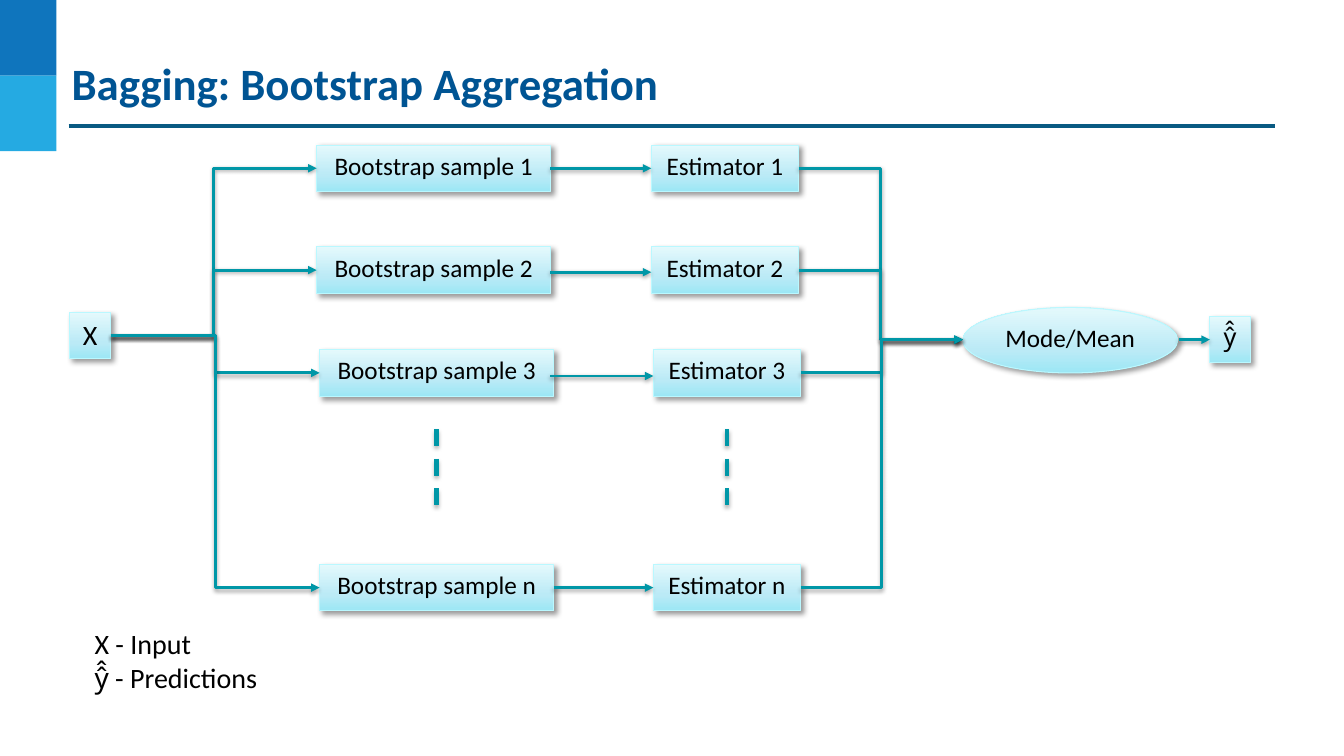
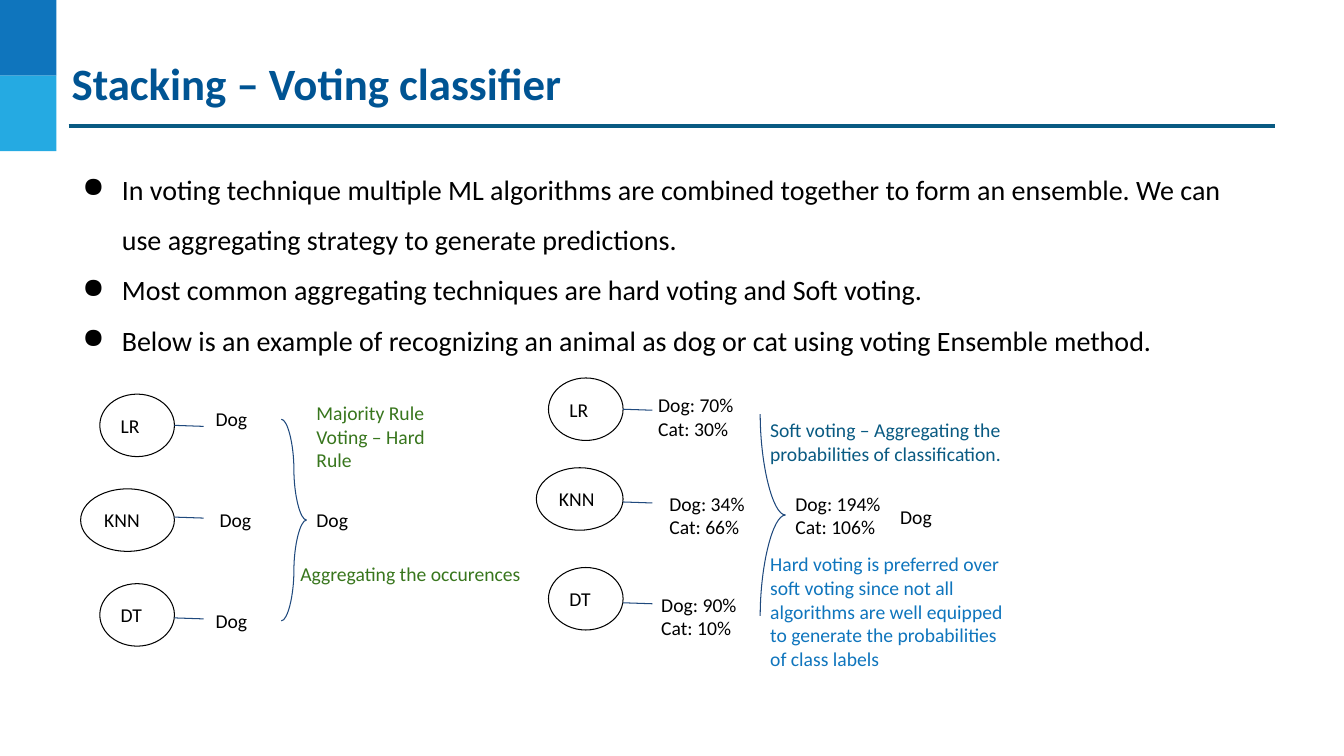
from copy import deepcopy
from lxml.etree import SubElement
from pptx import Presentation
from pptx.dml.color import RGBColor
from pptx.enum.dml import MSO_LINE
from pptx.enum.shapes import MSO_CONNECTOR, MSO_SHAPE
from pptx.enum.text import MSO_ANCHOR, PP_ALIGN
from pptx.oxml.ns import qn
from pptx.util import Inches, Pt

FONT = "Calibri"
BLACK = RGBColor(0x00, 0x00, 0x00)
WHITE = RGBColor(0xFF, 0xFF, 0xFF)
BLUE = RGBColor(0x0F, 0x75, 0xBD)
SKY = RGBColor(0x25, 0xAA, 0xE2)
DEEP = RGBColor(0x09, 0x5A, 0x82)
NAVY = RGBColor(0x00, 0x54, 0x93)
TEAL = RGBColor(0x00, 0x97, 0xA7)
ICE = RGBColor(0xBA, 0xF8, 0xFF)
SLATE = RGBColor(0x1F, 0x49, 0x7D)
GREEN = RGBColor(0x38, 0x76, 0x1D)
GRADE = [
    (0, RGBColor(0x9C, 0xE7, 0xF5)),
    (0.35, RGBColor(0xBB, 0xEA, 0xF6)),
    (1, RGBColor(0xE4, 0xF9, 0xFC)),
]
BOX_SHADE = (40, 4, 3, 45)
WIRE_SHADE = (37, 3.1, 1.6, 90)
DASH_SHADE = (34, 3.1, 1.8, 90)
STRAIGHT, ELBOW, CURVE = MSO_CONNECTOR.STRAIGHT, MSO_CONNECTOR.ELBOW, MSO_CONNECTOR.CURVE

BAGGING = "Bagging: Bootstrap Aggregation"
ROWS = [
    ("1", 3.14, 6.46, 1.44, 5.46, 1.67),
    ("2", 3.14, 6.46, 2.45, 5.46, 2.7),
    ("3", 3.17, 6.48, 3.47, 5.46, 3.73),
    ("n", 3.17, 6.48, 5.6, 5.49, 5.83),
]
SAMPLE_W, EST_W, BOX_H = 2.32, 1.46, 0.46
INPUT = (1.1, 3.33)
MERGE = (9.55, 3.37)
LEGEND = ["X - Input", "ŷ̂ - Predictions"]

STACKING = "Stacking – Voting classifier"
POINTS = [
    "In voting technique multiple ML algorithms are combined together to form an ensemble. "
    "We can use aggregating strategy to generate predictions.",
    "Most common aggregating techniques are hard voting and Soft voting.",
    "Below is an example of recognizing an animal as dog or cat using voting Ensemble method.",
]
MODELS = [
    ("LR", 0.99, 3.91, 0.74, 4.22),
    ("DT", 0.99, 5.79, 0.74, 6.13),
    ("KNN", 0.8, 4.85, 0.93, 5.13),
    ("LR", 5.44, 3.75, 0.74, 4.06),
    ("DT", 5.44, 5.63, 0.74, 5.98),
    ("KNN", 5.32, 4.64, 0.86, 4.98),
]
NOTES = [
    (2.04, 3.94, 0.74, 0.44, BLACK, ["Dog"]),
    (2.04, 5.94, 0.74, 0.44, BLACK, ["Dog"]),
    (2.08, 4.94, 0.74, 0.44, BLACK, ["Dog"]),
    (6.43, 3.8, 1.24, 0.67, BLACK, ["Dog: 70%", "Cat: 30%"]),
    (6.46, 5.78, 1.08, 0.67, BLACK, ["Dog: 90%", "Cat: 10%"]),
    (6.54, 4.78, 1.08, 0.67, BLACK, ["Dog: 34%", "Cat: 66%"]),
    (3.04, 4.94, 0.74, 0.44, BLACK, ["Dog"]),
    (7.79, 4.78, 1.14, 0.67, BLACK, ["Dog: 194%", "Cat: 106%"]),
    (3.04, 3.88, 1.3, 0.91, GREEN, ["Majority Rule Voting – Hard Rule"]),
    (2.88, 5.47, 2.39, 0.44, GREEN, ["Aggregating the occurences"]),
    (7.54, 4.05, 2.77, 0.67, DEEP,
     ["Soft voting – Aggregating the probabilities of classification."]),
    (7.54, 5.38, 2.59, 1.38, BLUE,
     ["Hard voting is preferred over soft voting since not all algorithms are well "
      "equipped to generate the probabilities of class labels"]),
    (8.83, 4.91, 0.54, 0.44, BLACK, ["Dog"]),
]
BRACES = [(3.04, 5.16, "curvedConnector3"), (7.79, 5.11, "curvedConnector2")]


def write(shape, lines, size, color=BLACK, bold=False, pad=(0.1, 0.1),
          align=PP_ALIGN.LEFT, anchor=MSO_ANCHOR.TOP, bullet=None):
    frame = shape.text_frame
    frame.word_wrap = True
    frame.vertical_anchor = anchor
    frame.margin_left = frame.margin_right = Inches(pad[0])
    frame.margin_top = frame.margin_bottom = Inches(pad[1])
    for i, line in enumerate(lines):
        para = frame.add_paragraph() if i else frame.paragraphs[0]
        para.alignment = align
        if bullet:
            props = para._p.get_or_add_pPr()
            props.set("marL", str(Inches(0.5)))
            props.set("indent", str(Inches(-0.39)))
            tint = SubElement(props, qn("a:buClr"))
            SubElement(tint, qn("a:srgbClr"), val=str(BLACK))
            SubElement(props, qn("a:buChar"), char=bullet)
            para.line_spacing = 1.5
        run = para.add_run()
        run.text = line
        font = run.font
        font.name, font.size, font.bold = FONT, Pt(size), bold
        font.color.rgb = color


def label(slide, at, lines, size, **style):
    box = slide.shapes.add_textbox(*map(Inches, at))
    write(box, lines, size, **style)


def shade(effect, alpha, blur, dist, angle):
    outer = SubElement(effect, qn("a:outerShdw"), blurRad=str(Pt(blur)), dist=str(Pt(dist)),
                       dir=str(angle * 60000), algn="tl", rotWithShape="0")
    tint = SubElement(outer, qn("a:srgbClr"), val=str(BLACK))
    SubElement(tint, qn("a:alpha"), val=str(alpha * 1000))


def block(slide, at, fill=None, line=None, kind=MSO_SHAPE.RECTANGLE):
    shape = slide.shapes.add_shape(kind, *map(Inches, at))
    shape.shadow.inherit = False
    if fill is not None:
        shape.fill.solid()
        shape.fill.fore_color.rgb = fill
    if line is None:
        shape.line.fill.background()
    else:
        shape.line.color.rgb = line
        shape.line.width = Pt(0.75)
    return shape


def glass(slide, at, text, size=18, kind=MSO_SHAPE.RECTANGLE):
    shape = block(slide, at, line=ICE, kind=kind)
    shape.fill.gradient()
    shape.fill.gradient_angle = 90
    props = shape._element.spPr
    stops = props.find(".//" + qn("a:gsLst"))
    stops.insert(1, deepcopy(stops[0]))
    for stop, (place, color) in zip(shape.fill.gradient_stops, GRADE):
        stop.position = place
        stop.color.rgb = color
    shade(props.find(qn("a:effectLst")), *BOX_SHADE)
    write(shape, [text], size, pad=(0.1, 0.05), align=PP_ALIGN.CENTER)


def wire(slide, start, end, color, width, kind=STRAIGHT, arrow=False, dash=False, shadow=None):
    link = slide.shapes.add_connector(kind, *map(Inches, start + end))
    link.line.color.rgb = color
    link.line.width = Pt(width)
    if dash:
        link.line.dash_style = MSO_LINE.DASH
    props = link._element.spPr
    if arrow:
        SubElement(props.find(qn("a:ln")), qn("a:tailEnd"), type="triangle")
    effect = SubElement(props, qn("a:effectLst"))
    if shadow:
        shade(effect, *shadow)
    return link


def flow(slide, start, end, kind=STRAIGHT):
    wire(slide, start, end, TEAL, 2, kind, arrow=True, shadow=WIRE_SHADE)


def start(deck, title):
    slide = deck.slides.add_slide(deck.slide_layouts[6])
    for i, color in enumerate((BLUE, SKY)):
        block(slide, (0, 0.75 * i, 0.56, 0.75), color)
    wire(slide, (0.68, 1.25), (12.65, 1.25), DEEP, 2.25)
    label(slide, (0.69, 0.53, 12.29, 0.83), [title], 32, color=NAVY, bold=True, pad=(0.02, 0.02))
    return slide


def bagging(deck):
    slide = start(deck, BAGGING)
    for name, left, right, top, _, _ in ROWS:
        glass(slide, (left, top, SAMPLE_W, BOX_H), f"Bootstrap sample {name}")
        glass(slide, (right, top, EST_W, BOX_H), f"Estimator {name}")
    glass(slide, (0.69, 3.1, 0.41, BOX_H), "X", 20)
    glass(slide, (9.55, 3.05, 2.13, 0.65), "Mode/Mean", kind=MSO_SHAPE.OVAL)
    glass(slide, (12, 3.14, 0.4, BOX_H), "ŷ̂")
    for _, left, right, top, tail, level in ROWS:
        mid = top + BOX_H / 2
        flow(slide, INPUT, (left, mid), ELBOW)
        flow(slide, (tail, level), (right, level))
        flow(slide, (right + EST_W, mid), MERGE, ELBOW)
    flow(slide, (11.69, 3.37), (12, 3.37))
    for x in (4.33, 7.21):
        wire(slide, (x, 4.26), (x, 5.13), TEAL, 3, dash=True, shadow=DASH_SHADE)
    label(slide, (0.84, 6.17, 2.04, 0.94), LEGEND, 20, pad=(0.1, 0.05))


def stacking(deck):
    slide = start(deck, STACKING)
    label(slide, (0.61, 1.44, 11.98, 2.05), POINTS, 20, bullet="●")
    for name, left, top, width, level in MODELS:
        oval = block(slide, (left, top, width, 0.62), WHITE, BLACK, MSO_SHAPE.OVAL)
        write(oval, [name], 14, anchor=MSO_ANCHOR.MIDDLE)
        edge = left + width
        wire(slide, (edge, level), (edge + 0.29, level + 0.01), SLATE, 0.75)
    for x, y, form in BRACES:
        for step in (-1, 1):
            arc = wire(slide, (x, y), (x - 0.25, y + step), SLATE, 0.75, CURVE)
            arc._element.spPr.find(qn("a:prstGeom")).set("prst", form)
    for left, top, width, height, color, lines in NOTES:
        label(slide, (left, top, width, height), lines, 14, color=color)


def main():
    deck = Presentation()
    deck.slide_width, deck.slide_height = Inches(13.33), Inches(7.5)
    bagging(deck)
    stacking(deck)
    deck.save("out.pptx")


if __name__ == "__main__":
    main()
